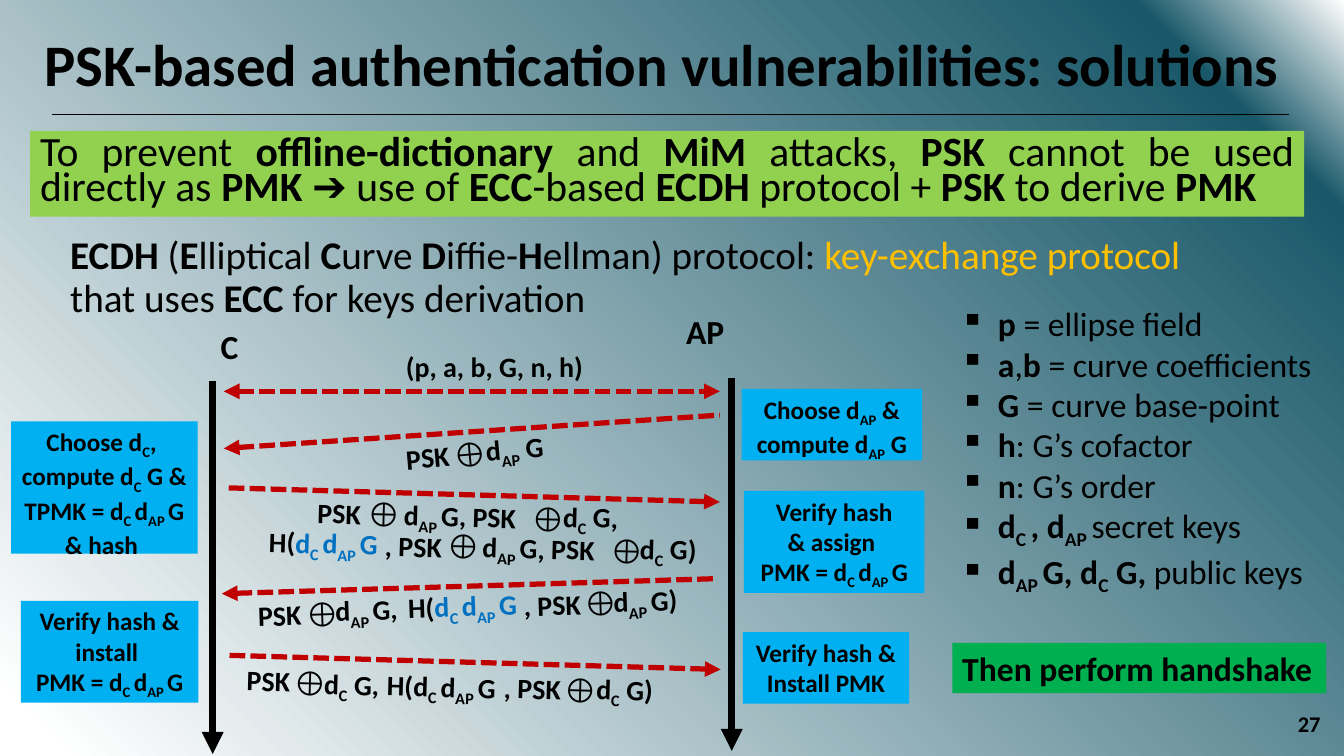
from copy import deepcopy
from lxml.etree import SubElement
from pptx import Presentation
from pptx.dml.color import RGBColor as Rgb
from pptx.enum.dml import MSO_LINE as Dash
from pptx.enum.shapes import MSO_CONNECTOR as Link, MSO_SHAPE as Shape
from pptx.enum.text import MSO_ANCHOR as Anchor, MSO_AUTO_SIZE as Auto, PP_ALIGN as Align
from pptx.oxml.ns import qn
from pptx.util import Cm, Pt

BLACK = Rgb(0, 0, 0)
WHITE = Rgb(0xFF, 0xFF, 0xFF)
TEAL = Rgb(0x19, 0x58, 0x69)
RED = Rgb(0xC0, 0, 0)
GOLD = Rgb(0xFF, 0xC0, 0)
BLUE = Rgb(0, 0x70, 0xC0)
SKY = Rgb(0, 0xB0, 0xF0)
GREEN = Rgb(0, 0xB0, 0x50)
LIME = Rgb(0x92, 0xD0, 0x50)

HASH = "H(~d_C _d_AP _G~"
WIDTHS = {
    "PSK": 1.63, ", PSK": 1.96, "⊕": 0.66, "d_AP_ G": 2.06, "d_AP _G, PSK": 3.51,
    "d_C_ G,": 1.93, "d_C_ G)": 1.98, "d_AP _G,": 2.24, "d_AP _G)": 2.29,
    HASH: 3.45, "H(d_C _d_AP _G": 3.45,
}
LABELS = [
    (-5, [(9.98, 10.97, "PSK"), (11.43, 10.92, "⊕"), (11.99, 10.74, "d_AP_ G")]),
    (1.6, [(7.75, 12.37, "PSK"), (9.25, 12.42, "⊕"), (9.93, 12.45, "d_AP _G, PSK"),
           (13.39, 12.55, "⊕"), (13.94, 12.47, "d_C_ G,")]),
    (1.6, [(6.53, 13.13, HASH), (9.45, 13.21, ", PSK"), (11.25, 13.23, "⊕"),
           (11.91, 13.26, "d_AP _G, PSK"), (15.37, 13.36, "⊕"), (15.88, 13.28, "d_C_ G)")]),
    (-2, [(6.25, 14.94, "PSK"), (7.7, 14.96, "⊕"), (8.2, 14.81, "d_AP _G,"),
          (10.03, 14.71, HASH), (12.95, 14.68, ", PSK"), (14.71, 14.68, "⊕"),
          (15.21, 14.58, "d_AP _G)")]),
    (1.6, [(5.97, 16.59, "PSK"), (7.39, 16.69, "⊕"), (7.92, 16.69, "d_C_ G,"),
           (9.5, 16.74, "H(d_C _d_AP _G"), (12.45, 16.79, ", PSK"), (14.2, 16.87, "⊕"),
           (14.78, 16.81, "d_C_ G)")]),
]
STEPS = [
    (18.69, 9.8, 4.55, 1.8, "Choose d_AP_ & compute d_AP_ G"),
    (0.28, 10.62, 4.7, 3.33,
     "Choose d_C_, \ncompute d_C_ G & \nTPMK = d_C _d_AP _G\n& hash "),
    (18.75, 12.37, 4.55, 2.57, "Verify hash\n& assign \nPMK = d_C _d_AP _G"),
    (0.53, 15.14, 4.47, 2.57, "Verify hash &\ninstall \nPMK = d_C _d_AP _G"),
    (18.72, 15.93, 4.19, 1.8, "Verify hash &\nInstall PMK"),
]
TERMS = """*p* = ellipse field
*a*,*b* = curve coefficients
*G* = curve base-point
*h*: G’s cofactor
*n*: G’s order
*d_C _, d_AP _*secret keys
*d_AP _G, d_C_ G, *public keys"""
CLAIM = ("To prevent *offline-dictionary* and *MiM *attacks, *PSK *cannot be used directly as "
         "*PMK *➔ use of *ECC*-based *ECDH *protocol + *PSK* to derive *PMK*")
INTRO = ("*ECDH* (*E*lliptical *C*urve *D*iffie-*H*ellman) protocol: "
         "~key-exchange protocol ~that uses *ECC* for keys derivation")


class Deck:
    """Draws styled elements; in markup * is bold, _ is subscript, ~ is accent."""

    def __init__(self):
        self.file = Presentation()
        self.file.slide_width, self.file.slide_height = Cm(33.87), Cm(19.05)
        self.slide = self.file.slides.add_slide(self.file.slide_layouts[5])
        self.shapes = self.slide.shapes

    def ground(self, stops):
        fill = self.slide.background.fill
        fill.gradient()
        fill.gradient_angle = 225
        group = self.slide.element.find(".//" + qn("a:gsLst"))
        group.append(deepcopy(group[0]))
        for stop, (spot, color) in zip(fill.gradient_stops, stops):
            stop.position, stop.color.rgb = spot, color

    def runs(self, para, text, accent):
        on, part = set(), ""
        for char in text + "\n":
            if char not in "*_~\n":
                part += char
                continue
            if part:
                run = para.add_run()
                run.text = part
                if "*" in on:
                    run.font.bold = True
                if "~" in on:
                    run.font.color.rgb = accent
                if "_" in on:
                    run._r.get_or_add_rPr().set("baseline", "-25000")
            on ^= {char}
            part = ""

    def fill(self, frame, text, size, face="Calibri", bold=True, align=Align.LEFT,
             space=None, accent=BLUE, mark=None):
        for index, line in enumerate(text.split("\n")):
            para = frame.add_paragraph() if index else frame.paragraphs[0]
            para.alignment = align
            if space:
                para.line_spacing = space
            if mark:
                props = para._p.get_or_add_pPr()
                props.set("marL", str(Cm(0.95)))
                props.set("indent", str(-Cm(0.95)))
                SubElement(props, qn("a:buChar")).set("char", mark)
            font = para.font
            font.name, font.size, font.bold = face, Pt(size), bold
            font.color.rgb = BLACK
            self.runs(para, line, accent)

    def title(self, text, at):
        box = self.shapes.title
        box.left, box.top, box.width, box.height = map(Cm, at)
        box.text_frame.auto_size = Auto.NONE
        box.text_frame.vertical_anchor = Anchor.MIDDLE
        self.fill(box.text_frame, text, 42, align=Align.CENTER, space=0.9)

    def text(self, at, text, size, back=None, turn=0, wrap=True, grow=True,
             anchor=Anchor.TOP, tight=False, **style):
        at = map(Cm, at)
        if back is None:
            box = self.shapes.add_textbox(*at)
        else:
            box = self.shapes.add_shape(Shape.RECTANGLE, *at)
            box.shadow.inherit = False
            box.fill.solid()
            box.fill.fore_color.rgb = back
            box.line.fill.background()
        box.rotation = turn
        frame = box.text_frame
        frame.word_wrap, frame.vertical_anchor = wrap, anchor
        frame.auto_size = Auto.SHAPE_TO_FIT_TEXT if grow else Auto.NONE
        if tight:
            frame.margin_left = frame.margin_right = 0
            frame.margin_top = frame.margin_bottom = 0
        self.fill(frame, text, size, **style)

    def line(self, ends, color, width, dash=None, heads=()):
        link = self.shapes.add_connector(Link.STRAIGHT, *map(Cm, ends))
        link.line.color.rgb, link.line.width = color, Pt(width)
        if dash:
            link.line.dash_style = dash
        props = link._element.spPr
        for head in heads:
            SubElement(props.find(qn("a:ln")), qn("a:" + head)).set("type", "triangle")
        SubElement(props, qn("a:effectLst"))


def main():
    deck = Deck()
    deck.ground([(0, WHITE), (0.1, TEAL), (0.97, WHITE)])
    deck.title("PSK-based authentication vulnerabilities: solutions", (0.48, 0.36, 32.39, 2.67))
    deck.line((1.3, 2.87, 32.49, 2.87), BLACK, 0.5)
    deck.text((1.52, 5.82, 29.9, 2.64), INTRO, 28, grow=False, bold=False, space=0.9, accent=GOLD)
    deck.text((32.21, 17.73, 1.32, 1.02), "27", 16, grow=False, anchor=Anchor.MIDDLE,
              align=Align.RIGHT)

    for x, low, high in [(5.36, 19, 9.6), (18.44, 18.92, 9.53)]:
        deck.line((x, low, x, high), BLACK, 5.25, heads=["headEnd"])
    deck.text((5.31, 8.08, 0.97, 1.27), "C", 24, wrap=False)
    deck.text((17.04, 7.72, 1.47, 1.27), "AP", 24, wrap=False)
    deck.text((9.98, 8.69, 5, 1.12), "(p, a, b, G, n, h)", 20, wrap=False)

    deck.line((5.64, 9.86, 18.14, 9.86), RED, 3.75, Dash.SQUARE_DOT, ["headEnd", "tailEnd"])
    for ends in [(5.64, 11.3, 18.14, 10.46), (18.14, 12.65, 5.64, 12.29),
                 (5.59, 14.96, 18.08, 14.58), (18.16, 16.87, 5.66, 16.51)]:
        deck.line(ends, RED, 3.75, Dash.SQUARE_DOT, ["headEnd"])

    for turn, parts in LABELS:
        for x, y, text in parts:
            plus = text == "⊕"
            deck.text((x, y, WIDTHS[text], 1.02 if plus else 1.12), text, 24 if plus else 20,
                      turn=turn, wrap=False, tight=plus, face="Arial" if plus else "Calibri")

    for *at, text in STEPS:
        deck.text(at, text, 18, back=SKY, align=Align.CENTER)
    deck.text((23.95, 7.52, 9.45, 7.44), TERMS, 24, bold=False, mark="▪")
    deck.text((24, 16.2, 9.42, 1.27), "Then perform handshake", 24, back=GREEN, wrap=False)
    deck.text((0.76, 3.3, 32.11, 2.16), CLAIM, 29.7, back=LIME, grow=False,
              anchor=Anchor.MIDDLE, bold=False, align=Align.JUSTIFY, space=0.7)
    deck.file.save("out.pptx")


if __name__ == "__main__":
    main()
